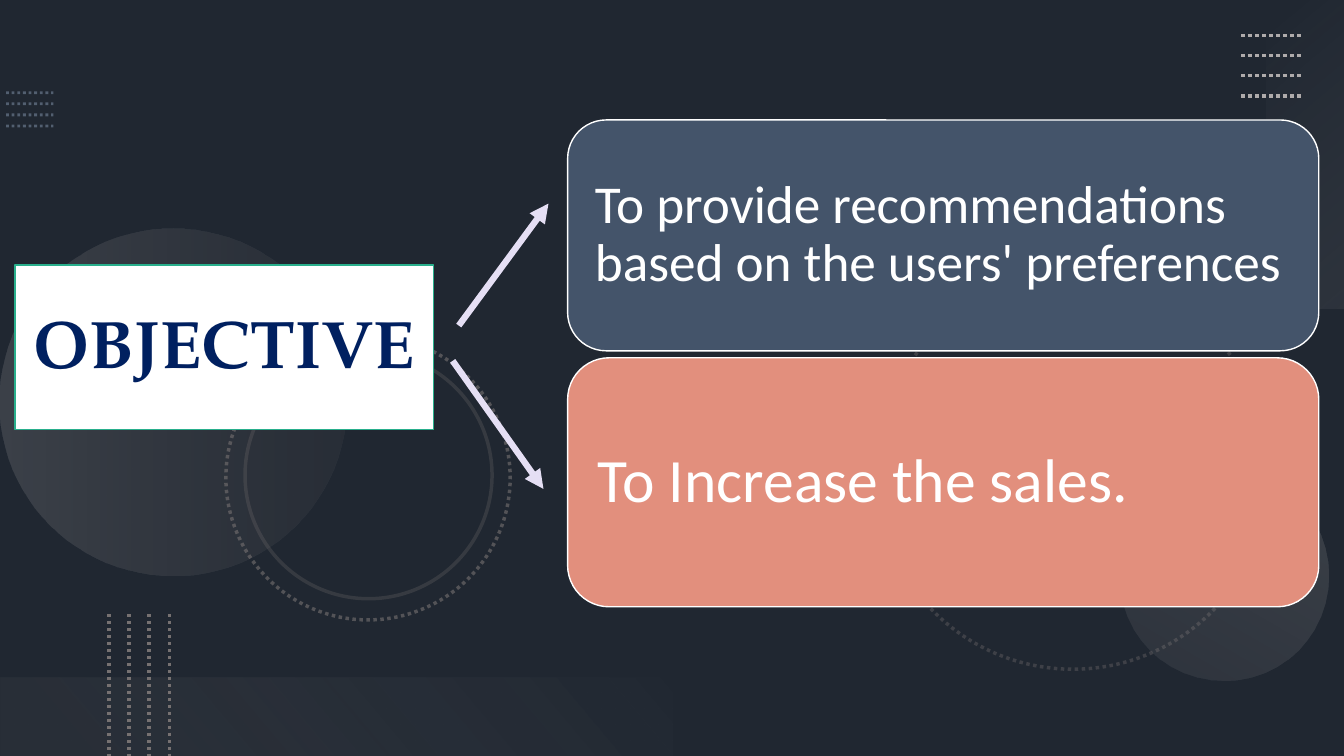
from lxml.etree import SubElement
from pptx import Presentation
from pptx.dml.color import RGBColor
from pptx.enum.dml import MSO_LINE
from pptx.enum.shapes import MSO_CONNECTOR, MSO_SHAPE
from pptx.enum.text import MSO_ANCHOR, PP_ALIGN
from pptx.oxml import parse_xml
from pptx.oxml.ns import nsdecls, qn
from pptx.util import Inches, Pt

COLORS = {
    "slate": "44546A",
    "black": "000000",
    "white": "FFFFFF",
    "navy": "002060",
    "green": "29AF8C",
    "coral": "E28F7D",
    "lavender": "E5DFF4",
    "steel": "8497B0",
    "silver": "AFABAB",
    "gray": "767171",
    "mist": "F5F5F5",
    "pearl": "F1F0F0",
}


def color(name):
    return RGBColor.from_string(COLORS[name])


def set_opacity(element, percent):
    for node in element.iter(qn("a:srgbClr")):
        SubElement(node, qn("a:alpha"), val=str(percent * 1000))


def style_line(line, name, width, dotted=False):
    line.color.rgb = color(name)
    line.width = Pt(width)
    if dotted:
        line.dash_style = MSO_LINE.ROUND_DOT


def add_panel(slide, kind, box, fill=None, line=None, width=1, dotted=False, opacity=100, rotation=0):
    shape = slide.shapes.add_shape(kind, *(Inches(value) for value in box))
    shape.shadow.inherit = False
    shape.rotation = rotation
    if fill:
        shape.fill.solid()
        shape.fill.fore_color.rgb = color(fill)
    else:
        shape.fill.background()
    if line:
        style_line(shape.line, line, width, dotted)
    else:
        shape.line.fill.background()
    if opacity < 100:
        set_opacity(shape._element.spPr, opacity)
    return shape


def add_gradient_panel(slide, kind, box, stops, angle, rotation):
    shape = add_panel(slide, kind, box, rotation=rotation)
    stop_xml = "".join(
        f'<a:gs pos="{position * 1000}"><a:srgbClr val="{COLORS[name]}">'
        f'<a:alpha val="{opacity * 1000}"/></a:srgbClr></a:gs>'
        for position, name, opacity in stops
    )
    gradient = parse_xml(
        f'<a:gradFill {nsdecls("a")} rotWithShape="1"><a:gsLst>{stop_xml}</a:gsLst>'
        f'<a:lin ang="{angle * 60000}" scaled="0"/></a:gradFill>'
    )
    properties = shape._element.spPr
    properties.replace(properties.find(qn("a:noFill")), gradient)


def add_line(slide, start, end, name, width, dotted=False, opacity=100, arrow=False):
    connector = slide.shapes.add_connector(
        MSO_CONNECTOR.STRAIGHT, *(Inches(value) for value in (*start, *end))
    )
    style_line(connector.line, name, width, dotted)
    properties = connector._element.spPr
    if opacity < 100:
        set_opacity(properties, opacity)
    if arrow:
        SubElement(properties.find(qn("a:ln")), qn("a:tailEnd"), type="triangle")
    SubElement(properties, qn("a:effectLst"))


def write_text(shape, text, size, font="Calibri", name="white", bold=False,
               align=PP_ALIGN.LEFT, margin=0.1):
    frame = shape.text_frame
    frame.word_wrap = True
    frame.vertical_anchor = MSO_ANCHOR.MIDDLE
    frame.margin_left = frame.margin_right = Inches(margin)
    frame.margin_top = frame.margin_bottom = Inches(margin)
    paragraph = frame.paragraphs[0]
    paragraph.alignment = align
    paragraph.line_spacing = 0.9
    run = paragraph.add_run()
    run.text = text
    run.font.size = Pt(size)
    run.font.name = font
    run.font.bold = bold
    run.font.color.rgb = color(name)


def add_dotted_rows(slide, left, top, length, gap, name, width, opacity=100):
    for row in range(4):
        y = top + row * gap
        add_line(slide, (left, y), (left + length, y), name, width, True, opacity)


def add_dotted_columns(slide, left, top, length, gap):
    for column in range(4):
        x = left + column * gap
        add_line(slide, (x, top), (x, top + length), "gray", 2.5, True)


def add_ring(slide, left, top, size, dotted, opacity):
    add_panel(slide, MSO_SHAPE.OVAL, (left, top, size, size), line="gray",
              width=2.5, dotted=dotted, opacity=opacity, rotation=75)


def add_disc(slide, left, top, size, stops, rotation):
    add_gradient_panel(slide, MSO_SHAPE.OVAL, (left, top, size, size), stops, 90, rotation)


def add_backdrop(slide, width, height):
    slide.background.fill.solid()
    slide.background.fill.fore_color.rgb = color("slate")
    add_panel(slide, MSO_SHAPE.RECTANGLE, (0, 0, width, height), fill="black", opacity=53)
    add_dotted_rows(slide, 0.06, 0.92, 0.47, 0.11, "steel", 2, opacity=50)
    add_ring(slide, 8.69, 2.74, 3.9, True, 35)
    add_disc(slide, 0, 2.27, 3.44, [(0, "silver", 20), (100, "gray", 10)], 270)
    add_disc(slide, 11.1, 4.67, 2.08, [(0, "silver", 10), (100, "silver", 20)], 210)
    add_ring(slide, 2.24, 3.33, 2.82, True, 60)
    add_ring(slide, 2.43, 3.49, 2.45, False, 25)
    add_gradient_panel(slide, MSO_SHAPE.RECTANGLE, (11.42, 1.14, 3.06, 0.78),
                       [(0, "mist", 0), (100, "silver", 10)], 140, 270)
    add_dotted_rows(slide, 12.31, 0.35, 0.6, 0.2, "silver", 2.5)
    add_gradient_panel(slide, MSO_SHAPE.RECTANGLE, (0, height - 0.78, width / 2, 0.78),
                       [(10, "gray", 10), (100, "pearl", 0)], 140, 180)
    add_dotted_columns(slide, 1.08, 6.09, 1.41, 0.2)


def add_title(slide, box):
    title = add_panel(slide, MSO_SHAPE.RECTANGLE, box, fill="white", line="green")
    write_text(title, "OBJECTIVE", 48, font="TeX Gyre Pagella", name="navy", bold=True,
               align=PP_ALIGN.CENTER)


def add_objectives(slide, left, top, width):
    objectives = [
        ("To provide recommendations based on the users' preferences", 2.29, "slate", 38, 0.16),
        ("To Increase the sales.", 2.47, "coral", 44, 0.18),
    ]
    for text, height, fill, size, margin in objectives:
        card = add_panel(slide, MSO_SHAPE.ROUNDED_RECTANGLE, (left, top, width, height),
                         fill=fill, line="white")
        write_text(card, text, size, margin=margin)
        top += height + 0.07


def add_arrows(slide):
    for start, end in [((4.55, 3.23), (5.44, 2.02)), ((4.49, 3.58), (5.39, 4.85))]:
        add_line(slide, start, end, "lavender", 4.5, arrow=True)


def main():
    presentation = Presentation()
    presentation.slide_width = Inches(13.33)
    presentation.slide_height = Inches(7.5)
    slide = presentation.slides.add_slide(presentation.slide_layouts[6])
    add_backdrop(slide, 13.33, 7.5)
    add_title(slide, (0.15, 2.63, 4.15, 1.63))
    add_objectives(slide, 5.63, 1.19, 7.45)
    add_arrows(slide)
    presentation.save("out.pptx")


if __name__ == "__main__":
    main()
